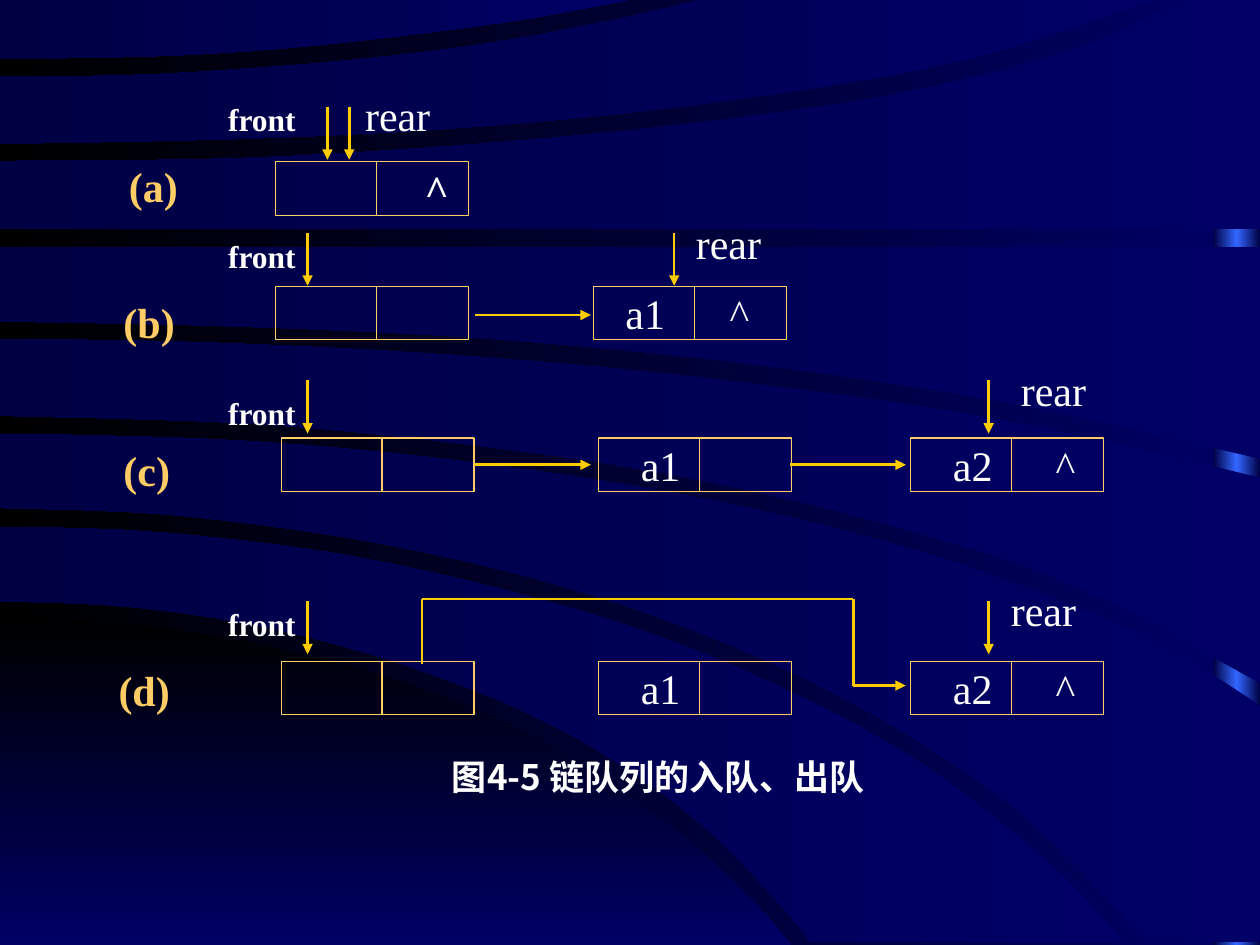
from copy import deepcopy

from lxml.etree import SubElement
from pptx import Presentation
from pptx.dml.color import RGBColor
from pptx.enum.shapes import MSO_CONNECTOR as Connector, MSO_SHAPE as Preset
from pptx.enum.text import MSO_ANCHOR as Anchor, PP_ALIGN as Align
from pptx.oxml.ns import qn
from pptx.util import Cm, Pt

SLIDE_W, SLIDE_H = 25.4, 19.05
NODE_W, NODE_H, DATA_W = 3.89, 1.08, 2.03
POINTER_LEN = 1.07
LATIN, CJK = "Times New Roman", "Noto Sans CJK SC"
WHITE, GOLD, YELLOW = "FFFFFF", "FFCC66", "FFCC00"
NAVY, DARK, BLACK, GLOW = "000066", "000044", "000000", "3366FF"

# Background curves in cm, each running from left to right
DOME = [(0, 12.47), (2.84, 12.62), (5.54, 13.06), (8.31, 13.82), (10.8, 14.88),
        (13.41, 16.54), (15.14, 18.11), (15.95, 19.05)]
# Each band: its upper edge, then its lower edge
BANDS = [
    ([(0, 10.62), (3.3, 10.74), (7.47, 11.28), (11.99, 12.4), (15.39, 13.69),
      (18.47, 15.32), (21.16, 17.4), (22.68, 19)],
     [(0, 12.12), (2.67, 12.24), (5.61, 12.7), (8.69, 13.59), (11.53, 14.83),
      (14.05, 16.54), (15.93, 18.47), (16.31, 19)]),
    ([(0, 8.74), (4.95, 8.89), (9.75, 9.35), (14.48, 10.11), (18.75, 11.18),
      (22.17, 12.42), (23.83, 13.23), (25.4, 14.22)],
     [(0, 10.24), (3.56, 10.39), (7.9, 11), (12.24, 12.09), (16.15, 13.64),
      (19.2, 15.39), (21.29, 17.02), (23.09, 19)]),
    ([(0, 6.83), (4.27, 6.91), (8.86, 7.14), (13.28, 7.52), (18.14, 8.13),
      (21.82, 8.79), (25.4, 9.63)],
     [(0, 8.38), (5.36, 8.56), (10.31, 9.07), (14.22, 9.7), (18.06, 10.62),
      (21.67, 11.81), (25.4, 13.77)]),
    ([(0, 4.98), (25.4, 4.98)],
     [(0, 6.48), (4.72, 6.58), (9.88, 6.83), (15.42, 7.37), (20.65, 8.18),
      (25.4, 9.25)]),
    ([(0, 3.25), (5.16, 3.18), (10.67, 2.82), (15.16, 2.34), (18.64, 1.78),
      (21.89, 0.91), (23.95, 0), (25.4, 0)],
     [(0, 4.62), (25.4, 4.62)]),
    ([(0, 1.55), (3.07, 1.5), (6.78, 1.24), (9.73, 0.89), (12.24, 0.43), (14.12, 0)],
     [(0, 2.9), (5.74, 2.77), (10.8, 2.46), (15.6, 1.9), (19.61, 1.17), (23.29, 0)]),
    ([(0, 0), (12.73, 0)],
     [(0, 1.19), (3.48, 1.12), (6.43, 0.91), (10.13, 0.46), (12.73, 0)]),
]

# Each row: tag, tag left and top; node top; nodes as (left, data, mark, data x, mark x)
ROWS = [
    ("(a)", 2.6, 3.23, 3.26, [(5.56, "", "^", 0, 3)]),
    ("(b)", 2.49, 5.97, 5.77, [(5.56, "", "", 0, 0), (11.97, "a1", "^", 0.64, 2.74)]),
    ("(c)", 2.49, 8.94, 8.83, [(5.67, "", "", 0, 0), (12.07, "a1", "", 0.85, 0),
                               (18.36, "a2", "^", 0.85, 2.92)]),
    ("(d)", 2.39, 13.39, 13.33, [(5.67, "", "", 0, 0), (12.07, "a1", "", 0.85, 0),
                                 (18.36, "a2", "^", 0.85, 2.92)]),
]
# Each row: pointer top, front x, rear x, front label top, rear label left and top
POINTERS = [
    (2.15, 6.6, 7.04, 1.95, 7.36, 1.7),
    (4.69, 6.2, 13.59, 4.7, 14.03, 4.29),
    (7.67, 6.2, 19.93, 7.87, 20.58, 7.24),
    (12.12, 6.2, 19.93, 12.12, 20.38, 11.68),
]
# Links between neighbouring nodes: from x, to x, y
LINKS = [(9.58, 11.91, 6.35), (9.58, 11.91, 9.37), (15.93, 18.26, 9.37)]


def rgb(color):
    return RGBColor.from_string(color)


def set_gradient(fill, start, end, angle):
    """Angle counts anticlockwise from left-to-right."""
    fill.gradient()
    fill.gradient_angle = angle
    for stop, color in zip(fill.gradient_stops, (start, end)):
        stop.color.rgb = rgb(color)


def smooth_curve(points, steps=5):
    """Catmull-Rom curve through the points."""
    padded = [points[0], *points, points[-1]]
    curve = [points[0]]
    for a, b, c, d in zip(padded, padded[1:], padded[2:], padded[3:]):
        for step in range(1, steps + 1):
            t = step / steps
            curve.append(tuple(
                (2 * q + (r - p) * t + (2 * p - 5 * q + 4 * r - s) * t ** 2
                 + (3 * q - p - 3 * r + s) * t ** 3) / 2
                for p, q, r, s in zip(a, b, c, d)))
    return curve


def add_region(slide, outline, start, end, angle):
    vertices = [(Cm(x), Cm(y)) for x, y in outline]
    builder = slide.shapes.build_freeform(*vertices[0])
    builder.add_line_segments(vertices[1:], close=True)
    region = builder.convert_to_shape()
    region.shadow.inherit = False
    region.line.fill.background()
    set_gradient(region.fill, start, end, angle)


def add_glow_strip(slide):
    strip = slide.shapes.add_shape(Preset.RECTANGLE, Cm(24.46), 0, Cm(0.94), Cm(SLIDE_H))
    strip.shadow.inherit = False
    strip.line.fill.background()
    set_gradient(strip.fill, DARK, GLOW, 180)
    stops = strip._element.spPr.find(".//" + qn("a:gsLst"))
    stops[1].set("pos", "50000")
    last = deepcopy(stops[0])
    last.set("pos", "100000")
    stops.append(last)


def add_backdrop(slide):
    set_gradient(slide.background.fill, NAVY, BLACK, 180)
    add_glow_strip(slide)
    add_region(slide, smooth_curve(DOME) + [(0, SLIDE_H)], BLACK, NAVY, 270)
    for upper, lower in BANDS:
        corner = [(SLIDE_W, 19)] if upper[-1][0] == SLIDE_W > lower[-1][0] else []
        outline = smooth_curve(upper) + corner + smooth_curve(lower)[::-1]
        add_region(slide, outline, NAVY, DARK, 180)


def write(frame, text, size, color=WHITE, bold=False, font=LATIN, align=Align.LEFT):
    frame.margin_left = frame.margin_right = frame.margin_top = frame.margin_bottom = 0
    frame.vertical_anchor = Anchor.MIDDLE
    line = frame.paragraphs[0]
    line.alignment = align
    run = line.add_run()
    run.text = text
    run.font.size, run.font.bold, run.font.name = Pt(size), bold, font
    run.font.color.rgb = rgb(color)
    SubElement(run._r.get_or_add_rPr(), qn("a:ea"), typeface=font)
    return line


def add_label(slide, text, left, top, width, height, size, **style):
    label = slide.shapes.add_textbox(Cm(left), Cm(top), Cm(width), Cm(height))
    label.text_frame.word_wrap = True
    write(label.text_frame, text, size, **style)


def add_line(slide, x1, y1, x2, y2, color=YELLOW, weight=1.5, arrow=False):
    line = slide.shapes.add_connector(Connector.STRAIGHT, Cm(x1), Cm(y1), Cm(x2), Cm(y2))
    line.line.color.rgb = rgb(color)
    line.line.width = Pt(weight)
    if arrow:
        SubElement(line.line._get_or_add_ln(), qn("a:tailEnd"), type="triangle")
    SubElement(line._element.spPr, qn("a:effectLst"))


def add_node(slide, left, top, data, mark, data_x, mark_x):
    """Box with a data field and a next field; a tab stop places the null mark."""
    node = slide.shapes.add_shape(Preset.RECTANGLE, Cm(left), Cm(top), Cm(NODE_W), Cm(NODE_H))
    node.shadow.inherit = False
    node.fill.background()
    node.line.color.rgb = rgb(GOLD)
    node.line.width = Pt(0.75)
    if data or mark:
        line = write(node.text_frame, data + ("\t" + mark if mark else ""), 24,
                     bold=not data)
        node.text_frame.margin_left = Cm(data_x)
        if mark:
            tabs = SubElement(line._p.get_or_add_pPr(), qn("a:tabLst"))
            SubElement(tabs, qn("a:tab"), pos=str(Cm(mark_x - data_x)), algn="l")
    add_line(slide, left + DATA_W, top, left + DATA_W, top + NODE_H, GOLD, 0.75)


def add_bypass(slide):
    """Link from the head node around the removed node a1."""
    start_x, end_x, top = 8.51, 17.2, 12.07
    add_line(slide, start_x, top, start_x, 13.39)
    add_line(slide, start_x, top, end_x, top, weight=1)
    add_line(slide, end_x, top, end_x, 13.82)
    add_line(slide, end_x, 13.82, 18.26, 13.82, arrow=True)


def main():
    deck = Presentation()
    deck.slide_width, deck.slide_height = Cm(SLIDE_W), Cm(SLIDE_H)
    slide = deck.slides.add_slide(deck.slide_layouts[6])
    add_backdrop(slide)
    for tag, tag_left, tag_top, top, nodes in ROWS:
        add_label(slide, tag, tag_left, tag_top, 2.08, 1.04, 24, color=GOLD, bold=True)
        for left, *fields in nodes:
            add_node(slide, left, top, *fields)
    for top, front_x, rear_x, front_top, rear_left, rear_top in POINTERS:
        for x in (front_x, rear_x):
            add_line(slide, x, top, x, top + POINTER_LEN, arrow=True)
        add_label(slide, "front", 4.6, front_top, 1.5, 0.9, 18, bold=True)
        add_label(slide, "rear", rear_left, rear_top, 2, 1.22, 24)
    for start, end, y in LINKS:
        add_line(slide, start, y, end, y, arrow=True)
    add_bypass(slide)
    add_label(slide, "图4-5 链队列的入队、出队", 6.71, 15.24, 13.13, 0.84, 20,
              bold=True, font=CJK, align=Align.CENTER)
    deck.save("out.pptx")


if __name__ == "__main__":
    main()
